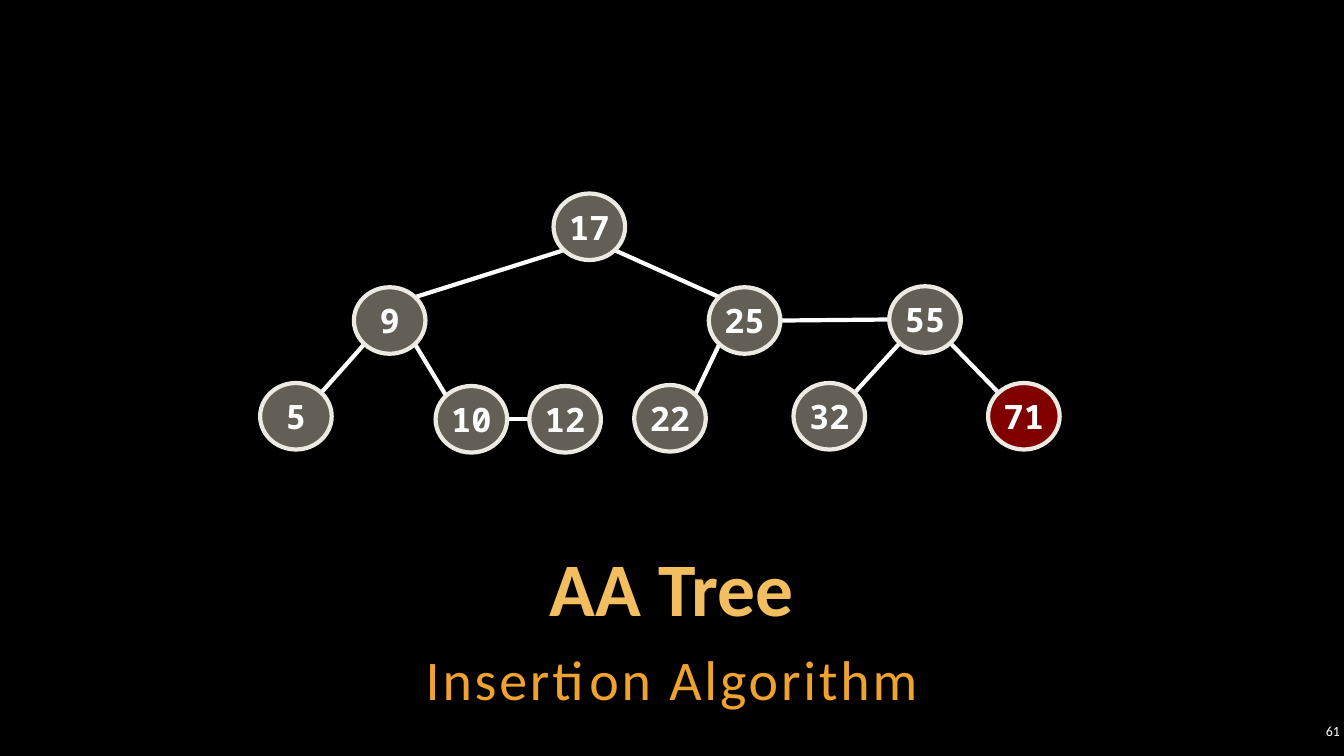
from lxml import etree
from pptx import Presentation
from pptx import util as u
from pptx.dml.color import RGBColor
from pptx.enum import shapes, text
from pptx.oxml.ns import qn

HUES = {"back": "000000", "title": "F3BE60", "sub": "F0A22E", "white": "FFFFFF",
        "node": "C7BFAC", "new": "FF0000", "rim": "ECEAE3"}
SANS, MONO = "Calibri", "Noto Sans Mono"
WIDE, TALL = 0.71, 0.66
NEW = "71"
NODES = {
    "17": (5.49, 1.92), "9": (3.51, 2.85), "25": (7.03, 2.85), "55": (8.82, 2.84),
    "5": (2.58, 3.8), "10": (4.32, 3.83), "12": (5.25, 3.83),
    "22": (6.29, 3.82), "32": (7.87, 3.8), NEW: (9.8, 3.8),
}
LEVELS = [("17", "9"), ("17", "25"), ("9", "5"), ("9", "10"),
          ("25", "22"), ("55", "32"), ("55", NEW)]
PEERS = [("25", "55"), ("10", "12")]
MID, TOP, LOW = text.MSO_ANCHOR.MIDDLE, text.MSO_ANCHOR.TOP, text.MSO_ANCHOR.BOTTOM
CENTER, RIGHT = text.PP_ALIGN.CENTER, text.PP_ALIGN.RIGHT
LABELS = [
    ("AA Tree", (1, 5.42, 11.33, 0.9), 54, "title", True, LOW, CENTER, 0.9, 0),
    ("Insertion Algorithm", (1, 6.29, 11.33, 0.78), 40, "sub", False, TOP, CENTER, 1.1, 200),
    ("61", (12.86, 7.14, 0.47, 0.22), 10, "white", False, MID, RIGHT, 1.0, 0),
]


def tint(name):
    return RGBColor.from_string(HUES[name])


def write(frame, words, size, font, hue, bold, anchor, align):
    frame.text = words
    frame.vertical_anchor = anchor
    para = frame.paragraphs[0]
    para.alignment = align
    run = para.runs[0]
    run.font.size = u.Pt(size)
    run.font.name = font
    run.font.bold = bold
    run.font.color.rgb = tint(hue)
    return para, run


def add_label(slide, words, box, size, hue, bold, anchor, align, pitch, track):
    frame = slide.shapes.add_textbox(*map(u.Inches, box)).text_frame
    frame.word_wrap = True
    frame.margin_left = frame.margin_right = u.Inches(0.04)
    frame.margin_top = frame.margin_bottom = u.Inches(0.04)
    para, run = write(frame, words, size, SANS, hue, bold, anchor, align)
    para.line_spacing = pitch
    if track:
        run.font._element.set("spc", str(track))


def add_node(slide, key, left, top):
    box = map(u.Inches, (left, top, WIDE, TALL))
    node = slide.shapes.add_shape(shapes.MSO_SHAPE.OVAL, *box)
    node.shadow.inherit = False
    node.fill.solid()
    node.fill.fore_color.rgb = tint("new" if key == NEW else "node")
    shade = node._element.spPr.find(qn("a:solidFill"))[0]
    etree.SubElement(shade, qn("a:alpha")).set("val", "50000")
    node.line.color.rgb = tint("rim")
    node.line.width = u.Pt(3)
    node.text_frame.word_wrap = False
    write(node.text_frame, key, 24, MONO, "white", True, MID, CENTER)


def rim_point(key, across, down):
    left, top = NODES[key]
    return left + WIDE * (0.5 + across), top + TALL * (0.5 + down)


def add_edge(slide, start, end):
    ends = map(u.Inches, start + end)
    edge = slide.shapes.add_connector(shapes.MSO_CONNECTOR.STRAIGHT, *ends)
    edge.line.color.rgb = tint("white")
    edge.line.width = u.Pt(3)
    etree.SubElement(edge._element.spPr, qn("a:effectLst"))


def main():
    deck = Presentation()
    deck.slide_width, deck.slide_height = u.Inches(13.33), u.Inches(7.5)
    slide = deck.slides.add_slide(deck.slide_layouts[6])
    slide.background.fill.solid()
    slide.background.fill.fore_color.rgb = tint("back")
    for label in LABELS:
        add_label(slide, *label)
    for high, low in LEVELS:
        side = 0.35 if NODES[low][0] > NODES[high][0] else -0.35
        add_edge(slide, rim_point(high, side, 0.35), rim_point(low, -side, -0.35))
    for left, right in PEERS:
        add_edge(slide, rim_point(left, 0.5, 0), rim_point(right, -0.5, 0))
    for key, spot in NODES.items():
        add_node(slide, key, *spot)
    deck.save("out.pptx")


if __name__ == "__main__":
    main()
